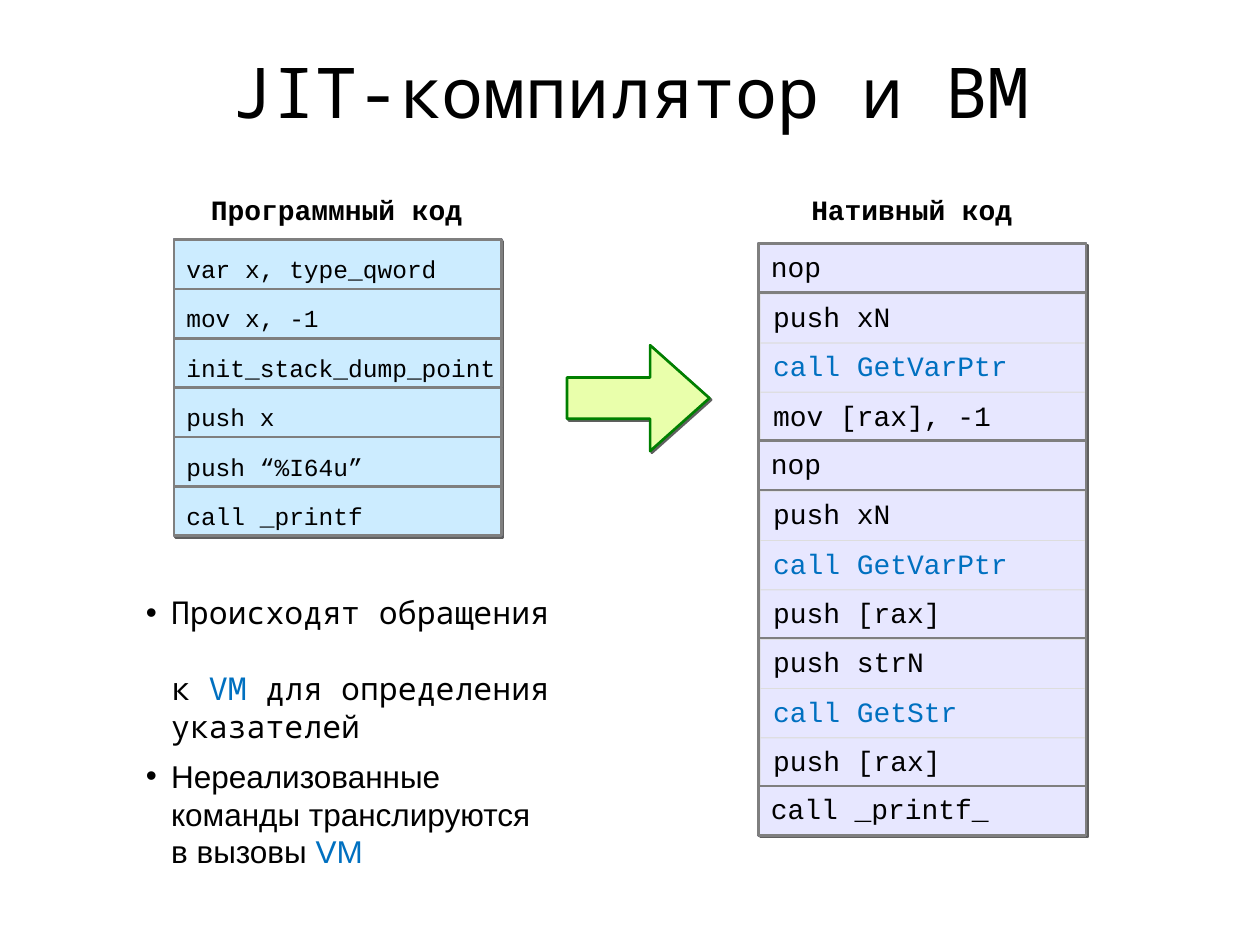
from lxml.etree import SubElement
from pptx import Presentation
from pptx.dml.color import RGBColor
from pptx.enum.shapes import MSO_SHAPE
from pptx.enum.text import MSO_ANCHOR, PP_ALIGN
from pptx.oxml.ns import qn
from pptx.util import Pt

hue = RGBColor.from_string
BLACK, BLUE, GREY = "000000", "0070C0", "7F7F7F"
code = {"name": "Courier New", "size": Pt(16)}
small = {**code, "size": Pt(14)}
head = {**code, "bold": True}
mono = {"name": "Noto Sans Mono", "size": Pt(18)}
sans = {**mono, "name": "Arial"}
title = {**mono, "size": Pt(40)}

deck = Presentation()
deck.slide_width, deck.slide_height = Pt(720), Pt(540)
slide = deck.slides.add_slide(deck.slide_layouts[6])
shapes = slide.shapes


def write(para, text, form, ink=BLACK):
    run = para.add_run()
    run.text = text
    for key, val in form.items():
        setattr(run.font, key, val)
    run.font.color.rgb = hue(ink)


def draw(kind, spot, fill, line=None, shade=False):
    shape = shapes.add_shape(kind, *[Pt(n) for n in spot])
    shape.shadow.inherit = False
    shape.fill.solid()
    shape.fill.fore_color.rgb = hue(fill)
    if line:
        shape.line.color.rgb = hue(line)
        shape.line.width = Pt(1.5)
    else:
        shape.line.fill.background()
    if shade:
        effect = shape._element.spPr.find(qn("a:effectLst"))
        drop = SubElement(effect, qn("a:outerShdw"), dist=str(Pt(1.4)),
                          dir="2700000", algn="ctr", rotWithShape="0")
        SubElement(drop, qn("a:srgbClr"), val="5F5F5F")
    return shape


# Title and column heads
for text, spot, form, align in [
    ("JIT-компилятор и ВМ", (36, 6.5, 648, 90), title, PP_ALIGN.CENTER),
    ("Программный код", (107.3, 106.6, 170, 26.6), head, PP_ALIGN.CENTER),
    ("Нативный код", (456.5, 106.6, 170, 26.6), head, PP_ALIGN.LEFT),
]:
    frame = shapes.add_textbox(*[Pt(n) for n in spot]).text_frame
    frame.word_wrap = True
    frame.vertical_anchor = MSO_ANCHOR.MIDDLE
    para = frame.paragraphs[0]
    para.alignment = align
    write(para, text, form)

# Code columns: a row is (text, framed on its own)
source = [(text, True) for text in (
    "var x, type_qword", "mov x, -1", "init_stack_dump_point",
    "push x", "push “%I64u”", "call _printf")]
native = [
    ("nop", True),
    ("push xN", False), ("call GetVarPtr", False), ("mov [rax], -1", False),
    ("nop", True),
    ("push xN", False), ("call GetVarPtr", False), ("push [rax]", False),
    ("push strN", False), ("call GetStr", False), ("push [rax]", False),
    ("call _printf_", True),
]
STEP, WIDE = 28.2, 187.2
for left, top, rows, fill, form, space in [
    (99.4, 137, source, "CCECFF", small, 1.3),
    (433.5, 139, native, "E7E7FF", code, 0.9),
]:
    draw(MSO_SHAPE.RECTANGLE, (left, top, WIDE, STEP * len(rows)),
         "FFFFFF", "000054", True)
    for i, (text, framed) in enumerate(rows):
        y = top + STEP * i
        if framed:
            cell = draw(MSO_SHAPE.RECTANGLE, (left, y, WIDE, STEP), fill, GREY)
        else:
            # Frame behind each group of three calls
            if text.startswith("push") and "[" not in text:
                draw(MSO_SHAPE.RECTANGLE, (left, y, WIDE, STEP * 3), "DDDDDD", GREY)
            cell = draw(MSO_SHAPE.RECTANGLE, (left + 1.2, y + 1, WIDE - 2, 27.5), fill)
        frame = cell.text_frame
        frame.word_wrap = False
        frame.vertical_anchor = MSO_ANCHOR.MIDDLE
        para = frame.paragraphs[0]
        para.alignment = PP_ALIGN.LEFT
        para.line_spacing = space
        write(para, text, form, BLUE if text.startswith("call Get") else BLACK)

# Arrow between the columns
arrow = draw(MSO_SHAPE.RIGHT_ARROW, (324, 197.3, 81.4, 60.5), "E9FFAB", "008000", True)
arrow.adjustments[0], arrow.adjustments[1] = 0.39, 0.56

# Bulleted notes
frame = shapes.add_textbox(Pt(76.3), Pt(335.5), Pt(254.9), Pt(145.4)).text_frame
frame.word_wrap = True
notes = [
    (mono, "Происходят обращения ", "к ", " для определения указателей"),
    (sans, "Нереализованные команды транслируются", "в вызовы ", ""),
]
for i, (form, first, lead, tail) in enumerate(notes):
    para = frame.add_paragraph() if i else frame.paragraphs[0]
    props = para._p.get_or_add_pPr()
    props.set("marL", str(Pt(14.4)))
    props.set("indent", str(Pt(-14.4)))
    tint = SubElement(props, qn("a:buClr"))
    SubElement(tint, qn("a:srgbClr"), val=BLACK)
    SubElement(props, qn("a:buFont"), typeface="Arial")
    SubElement(props, qn("a:buChar"), char="•")
    para.space_before = Pt(7 * i)
    write(para, first, form)
    para.add_line_break()
    write(para, lead, form)
    write(para, "VM", form, BLUE)
    if tail:
        write(para, tail, form)

deck.save("out.pptx")
